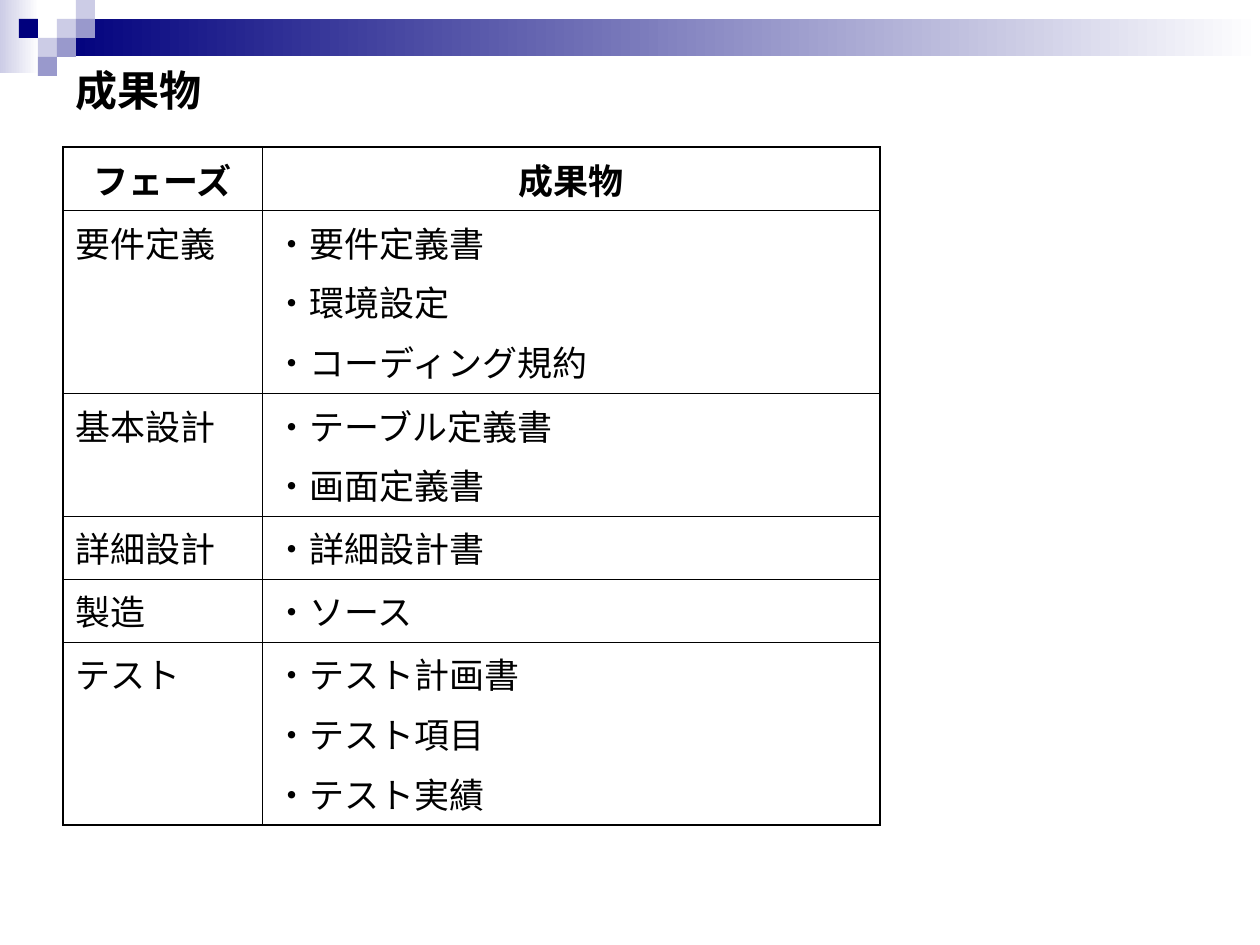
from dataclasses import dataclass

from lxml import etree
from pptx import Presentation
from pptx.dml.color import RGBColor
from pptx.enum.shapes import MSO_SHAPE
from pptx.enum.text import MSO_ANCHOR, PP_ALIGN
from pptx.oxml.ns import qn
from pptx.util import Pt

RECTANGLE = MSO_SHAPE.RECTANGLE
MIDDLE = MSO_ANCHOR.MIDDLE
LEFT, CENTER = PP_ALIGN.LEFT, PP_ALIGN.CENTER
EMU_PER_PX = 914400 / 126


@dataclass(frozen=True)
class Theme:
    font: str = "Arial"
    title_size: int = 24
    table_size: int = 20
    space_before: int = 5
    black: str = "000000"
    white: str = "FFFFFF"
    navy: str = "00007D"
    violet: str = "9999CC"
    pale: str = "CCCCE6"
    outer_line: float = 1.08
    inner_line: float = 0.45


THEME = Theme()
SQUARE = 19
SQUARES = [
    (3, 1, THEME.pale), (4, 0, THEME.pale), (4, 1, THEME.violet),
    (2, 2, THEME.pale), (1, 1, THEME.navy), (3, 2, THEME.violet),
    (2, 3, THEME.violet),
]
HEADER = ("フェーズ", ["成果物"])
PHASES = [
    ("要件定義", ["・要件定義書", "・環境設定", "・コーディング規約"]),
    ("基本設計", ["・テーブル定義書", "・画面定義書"]),
    ("詳細設計", ["・詳細設計書"]),
    ("製造", ["・ソース"]),
    ("テスト", ["・テスト計画書", "・テスト項目", "・テスト実績"]),
]
COLUMN_WIDTHS = (199, 618)
FIRST_LINE, NEXT_LINE = 63, 60


def px(length):
    return round(length * EMU_PER_PX)


def rgb(color):
    return RGBColor.from_string(color)


def apply(target, values):
    for name, value in values.items():
        setattr(target, name, value)


def add_rectangle(page, left, top, width, height):
    box = page.shapes.add_shape(RECTANGLE, *map(px, (left, top, width, height)))
    box.shadow.inherit = False
    box.line.fill.background()
    return box


def add_fading_bar(page, bounds, color):
    fill = add_rectangle(page, *bounds).fill
    fill.gradient()
    fill.gradient_angle = 0
    for stop, stop_color in zip(fill.gradient_stops, (color, THEME.white)):
        stop.color.rgb = rgb(stop_color)


def add_square(page, column, row, color):
    box = add_rectangle(page, column * SQUARE, row * SQUARE, SQUARE, SQUARE)
    box.fill.solid()
    box.fill.fore_color.rgb = rgb(color)


def write_lines(frame, lines, size, bold=False, align=LEFT, before=0):
    for index, line in enumerate(lines):
        para = frame.add_paragraph() if index else frame.paragraphs[0]
        apply(para, {"alignment": align, "space_before": Pt(before)})
        span = para.add_run()
        span.text = line
        apply(span.font, {"name": THEME.font, "size": Pt(size), "bold": bold})
        span.font.color.rgb = rgb(THEME.black)


def add_title(page, text):
    box = page.shapes.add_textbox(*map(px, (63, 63, 1134, 53)))
    apply(box.text_frame, {"word_wrap": True, "vertical_anchor": MIDDLE})
    write_lines(box.text_frame, [text], THEME.title_size, bold=True)


def set_borders(cell, outer_sides):
    properties = cell._tc.get_or_add_tcPr()
    for side, is_outer in outer_sides.items():
        width = THEME.outer_line if is_outer else THEME.inner_line
        line = etree.SubElement(properties, qn(f"a:ln{side}"), w=str(Pt(width)))
        fill = etree.SubElement(line, qn("a:solidFill"))
        etree.SubElement(fill, qn("a:srgbClr"), val=THEME.black)


def add_phase_table(page, rows):
    heights = [FIRST_LINE + NEXT_LINE * (len(items) - 1) for _, items in rows]
    bounds = (63, 147, sum(COLUMN_WIDTHS), sum(heights))
    table = page.shapes.add_table(
        len(rows), len(COLUMN_WIDTHS), *map(px, bounds)).table
    apply(table, {"first_row": False, "horz_banding": False})
    for column, width in zip(table.columns, COLUMN_WIDTHS):
        column.width = px(width)
    for row_index, (phase, items) in enumerate(rows):
        table.rows[row_index].height = px(heights[row_index])
        is_header = row_index == 0
        for column_index, lines in enumerate(([phase], items)):
            cell = table.cell(row_index, column_index)
            set_borders(cell, {
                "L": column_index == 0,
                "R": column_index == len(COLUMN_WIDTHS) - 1,
                "T": is_header,
                "B": row_index == len(rows) - 1,
            })
            cell.fill.background()
            write_lines(
                cell.text_frame, lines, THEME.table_size, is_header,
                CENTER if is_header else LEFT, THEME.space_before)


def main():
    deck = Presentation()
    apply(deck, {"slide_width": px(1260), "slide_height": px(945)})
    page = deck.slides.add_slide(deck.slide_layouts[6])
    add_fading_bar(page, (0, 0, 39, 73), THEME.pale)
    add_fading_bar(page, (57, 19, 1203, 37), THEME.navy)
    for column, row, color in SQUARES:
        add_square(page, column, row, color)
    add_title(page, "成果物")
    add_phase_table(page, [HEADER, *PHASES])
    deck.save("out.pptx")


if __name__ == "__main__":
    main()
